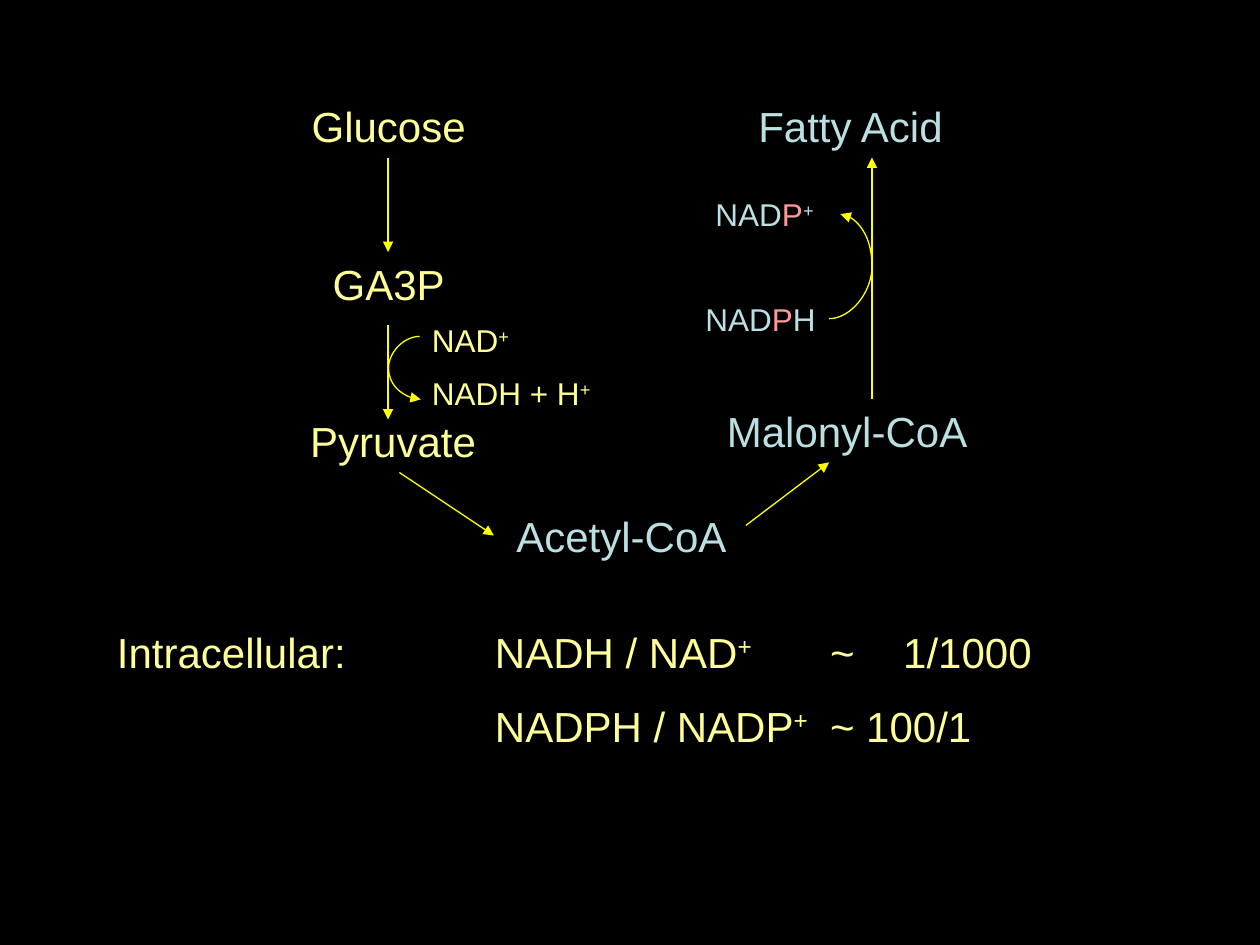
from lxml import etree
from pptx import Presentation
from pptx.dml.color import RGBColor
from pptx.enum.shapes import MSO_CONNECTOR as CONN
from pptx.enum.text import PP_ALIGN as ALIGN
from pptx.oxml.ns import qn
from pptx.util import Inches, Pt

BLACK = RGBColor(0x00, 0x00, 0x00)
YELLOW = RGBColor(0xFF, 0xFF, 0x00)
CREAM = RGBColor(0xFF, 0xFF, 0x99)
AQUA = RGBColor(0xBB, 0xE0, 0xE3)
PINK = RGBColor(0xFF, 0x99, 0x99)
SUP = "sup"


def add_runs(p, parts, size, color):
    """Each part is a string, or a pair of string and SUP or colour."""
    for part in parts:
        text, mark = part if isinstance(part, tuple) else (part, None)
        r = p.add_run()
        r.text = text
        r.font.name = "Arial"
        r.font.size = Pt(size)
        r.font.color.rgb = mark if isinstance(mark, RGBColor) else color
        if mark == SUP:
            r.font._element.set("baseline", "30000")


def add_label(s, x, y, w, h, parts, size, color, align=ALIGN.LEFT):
    tf = s.shapes.add_textbox(Inches(x), Inches(y), Inches(w), Inches(h)).text_frame
    tf.word_wrap = True
    p = tf.paragraphs[0]
    p.alignment = align
    add_runs(p, parts, size, color)
    return tf


def add_arrow(s, x1, y1, x2, y2, bend=None):
    """Straight arrow, or a curve that swings out to x = bend."""
    kind = CONN.STRAIGHT if bend is None else CONN.CURVE
    c = s.shapes.add_connector(kind, Inches(x1), Inches(y1), Inches(x2), Inches(y2))
    c.line.color.rgb = YELLOW
    c.line.width = Pt(0.75)
    sp_pr = c._element.spPr
    etree.SubElement(sp_pr.find(qn("a:ln")), qn("a:tailEnd"), type="triangle")
    etree.SubElement(sp_pr, qn("a:effectLst"))
    if bend is not None:
        geom = sp_pr.find(qn("a:prstGeom"))
        guides = geom.find(qn("a:avLst"))
        if guides is None:
            guides = etree.SubElement(geom, qn("a:avLst"))
        adj = round((bend - x1) / (x2 - x1) * 100000)
        etree.SubElement(guides, qn("a:gd"), name="adj1", fmla=f"val {adj}")


def add_glycolysis(s, x, y):
    # Metabolites, top to bottom
    for text, dx, dy, w in (("Glucose", 0, 0, 2.83), ("GA3P", 0.33, 1.25, 2.17),
                            ("Pyruvate", 0.41, 2.5, 2.08)):
        add_label(s, x + dx, y + dy, w, 0.5, [text], 24, CREAM, ALIGN.CENTER)
    axis = x + 1.41
    for dy in (0.5, 1.83):
        add_arrow(s, axis, y + dy, axis, y + dy + 0.75)
    add_arrow(s, x + 1.5, y + 3, x + 2.25, y + 3.5)
    # Cofactor turnover
    add_label(s, x + 1.66, y + 1.75, 1, 0.4, ["NAD", ("+", SUP)], 18, CREAM)
    add_label(s, x + 1.66, y + 2.17, 1.75, 0.4, ["NADH + H", ("+", SUP)], 18, CREAM)
    add_arrow(s, x + 1.66, y + 1.92, x + 1.67, y + 2.42, bend=axis)


def add_fatty_acid_synthesis(s, x, y):
    # Metabolites, bottom to top
    for text, dx, dy, w in (("Acetyl-CoA", 0, 3.25, 2), ("Malonyl-CoA", 1.67, 2.42, 2.58),
                            ("Fatty Acid", 1.92, 0, 2.25)):
        add_label(s, x + dx, y + dy, w, 0.5, [text], 24, AQUA)
    axis = x + 2.92
    add_arrow(s, x + 1.92, y + 3.42, x + 2.58, y + 2.92)
    add_arrow(s, axis, y + 2.42, axis, y + 0.5)
    # Cofactor turnover
    add_label(s, x + 1.5, y + 1.58, 1.08, 0.4, ["NAD", ("P", PINK), "H"], 18, AQUA)
    add_label(s, x + 1.58, y + 0.75, 1.08, 0.4, ["NAD", ("P", PINK), ("+", SUP)], 18, AQUA)
    add_arrow(s, x + 2.58, y + 1.78, x + 2.67, y + 0.95, bend=axis)


def add_ratios(s, x, y, w, h):
    tf = add_label(s, x, y, w, h,
                   ["Intracellular:\tNADH / NAD", ("+", SUP), "\t~\t1/1000"], 24, CREAM)
    p = tf.add_paragraph()
    p.space_before = Pt(13.6)
    add_runs(p, ["\tNADPH / NADP", ("+", SUP), "\t~ 100/1"], 24, CREAM)
    # Columns for ratio, sign and value
    for p in tf.paragraphs:
        tabs = etree.SubElement(p._p.get_or_add_pPr(), qn("a:tabLst"))
        for stop in (3, 5.66, 6.24):
            etree.SubElement(tabs, qn("a:tab"), pos=str(Inches(stop)), algn="l")


def main():
    prs = Presentation()
    prs.slide_width, prs.slide_height = Inches(10), Inches(7.5)
    s = prs.slides.add_slide(prs.slide_layouts[6])
    s.background.fill.solid()
    s.background.fill.fore_color.rgb = BLACK
    add_glycolysis(s, 1.67, 0.75)
    add_fatty_acid_synthesis(s, 4, 0.75)
    add_ratios(s, 0.83, 4.92, 8.25, 1.1)
    prs.save("out.pptx")


if __name__ == "__main__":
    main()
